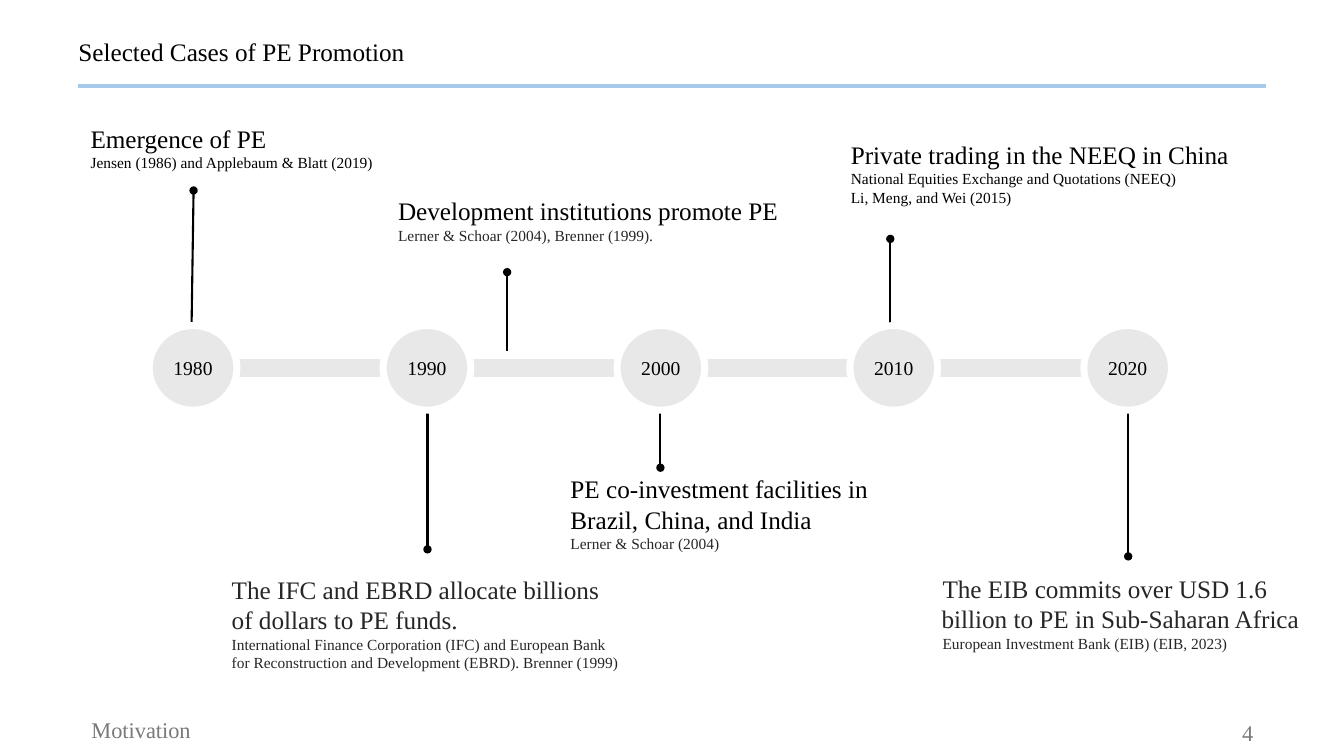
from lxml.etree import SubElement
from pptx import Presentation
from pptx.dml.color import RGBColor
from pptx.enum.shapes import MSO_CONNECTOR, MSO_SHAPE
from pptx.enum.text import MSO_ANCHOR, MSO_AUTO_SIZE, PP_ALIGN
from pptx.oxml.ns import qn
from pptx.util import Pt

PX = 9144
PAGE_SIZE = (1333, 750)
FONT = "Times New Roman"
BLACK = RGBColor(0x00, 0x00, 0x00)
DARK = RGBColor(0x26, 0x26, 0x26)
GREY = RGBColor(0x79, 0x79, 0x79)
PALE = RGBColor(0xE8, 0xE8, 0xE8)
WHITE = RGBColor(0xFF, 0xFF, 0xFF)
BLUE = RGBColor(0xA6, 0xCA, 0xEC)

FRAME_TEXTS = [
    ("Selected Cases of PE Promotion", (68, 1, 1233, 103), 18, BLACK, PP_ALIGN.LEFT, 0.9),
    ("4", (953, 707, 300, 40), 16, GREY, PP_ALIGN.RIGHT, 1.0),
    ("Motivation", (-85, 704, 450, 40), 16, GREY, PP_ALIGN.CENTER, 1.0),
]
TITLE_RULE = (77, 85, 1256, 85)

YEARS = ["1980", "1990", "2000", "2010", "2020"]
FIRST_LEFT, LAST_LEFT, CIRCLE_TOP = 148, 1075, 323
CIRCLE_SIZE = (87, 84)
AXIS_Y = 365

EVENTS = [
    ("Emergence of PE",
     ["Jensen (1986) and Applebaum & Blatt (2019)"],
     (79, 117, 393, 59), BLACK, BLACK, 1, (190, 323, 192, 189)),
    ("The IFC and EBRD allocate billions of dollars to PE funds.",
     ["International Finance Corporation (IFC) and European Bank "
      "for Reconstruction and Development (EBRD). Brenner (1999)"],
     (220, 565, 409, 108), DARK, DARK, 0, (424, 406, 424, 545)),
    ("Development institutions promote PE",
     ["Lerner & Schoar (2004), Brenner (1999)."],
     (384, 189, 403, 59), BLACK, DARK, 1, (503, 348, 503, 270)),
    ("PE co-investment facilities in Brazil, China, and India",
     ["Lerner & Schoar (2004)"],
     (556, 465, 387, 89), BLACK, DARK, 0, (655, 396, 655, 464)),
    ("Private trading in the NEEQ in China",
     ["National Equities Exchange and Quotations (NEEQ)", "Li, Meng, and Wei (2015)"],
     (834, 133, 422, 77), BLACK, BLACK, 0, (883, 338, 883, 237)),
    ("The EIB commits over USD 1.6 billion to PE in Sub-Saharan Africa",
     ["European Investment Bank (EIB) (EIB, 2023)"],
     (924, 564, 387, 89), DARK, DARK, 1, (1119, 407, 1119, 552)),
]


def scaled(lengths):
    return [length * PX for length in lengths]


def add_line(page, ends, color, width, dot=False):
    line = page.shapes.add_connector(MSO_CONNECTOR.STRAIGHT, *scaled(ends))
    line.line.color.rgb = color
    line.line.width = Pt(width)
    if dot:
        SubElement(line.line._get_or_add_ln(), qn("a:tailEnd"), type="oval")
    SubElement(line._element.spPr, qn("a:effectLst"))


def write(para, text, size, color, align=PP_ALIGN.LEFT):
    para.alignment = align
    span = para.add_run()
    span.text = text
    for name, value in {"name": FONT, "size": Pt(size)}.items():
        setattr(span.font, name, value)
    span.font.color.rgb = color


def add_box(page, area, **settings):
    frame = page.shapes.add_textbox(*scaled(area)).text_frame
    for name, value in {"word_wrap": True, **settings}.items():
        setattr(frame, name, value)
    return frame


def add_event(page, heading, sources, area, heading_color, source_color, indent):
    frame = add_box(page, area, auto_size=MSO_AUTO_SIZE.SHAPE_TO_FIT_TEXT)
    lines = [(heading, 18, heading_color)] + [(text, 11, source_color) for text in sources]
    for index, line in enumerate(lines):
        para = frame.add_paragraph() if index else frame.paragraphs[0]
        write(para, *line)
        para._p.get_or_add_pPr().set("indent", str(indent * PX))


def add_year(page, year, left):
    circle = page.shapes.add_shape(MSO_SHAPE.OVAL, *scaled((left, CIRCLE_TOP, *CIRCLE_SIZE)))
    circle.shadow.inherit = False
    circle.fill.solid()
    circle.fill.fore_color.rgb = PALE
    circle.line.color.rgb = WHITE
    circle.line.width = Pt(5)
    frame = circle.text_frame
    for name, value in {"margin_left": 0, "margin_right": 0,
                        "vertical_anchor": MSO_ANCHOR.MIDDLE}.items():
        setattr(frame, name, value)
    write(frame.paragraphs[0], year, 14, BLACK, PP_ALIGN.CENTER)


def main():
    deck = Presentation()
    deck.slide_width, deck.slide_height = scaled(PAGE_SIZE)
    page = deck.slides.add_slide(deck.slide_layouts[6])

    for text, area, size, color, align, spacing in FRAME_TEXTS:
        para = add_box(page, area, vertical_anchor=MSO_ANCHOR.MIDDLE).paragraphs[0]
        para.line_spacing = spacing
        write(para, text, size, color, align)
    add_line(page, TITLE_RULE, BLUE, 3)

    for *event, stem in EVENTS:
        add_line(page, stem, BLACK, 1.5, dot=True)
        add_event(page, *event)

    add_line(page, (LAST_LEFT, AXIS_Y, FIRST_LEFT, AXIS_Y), PALE, 13)
    step = (LAST_LEFT - FIRST_LEFT) / (len(YEARS) - 1)
    for index, year in enumerate(YEARS):
        add_year(page, year, round(FIRST_LEFT + index * step))

    deck.save("out.pptx")


if __name__ == "__main__":
    main()
